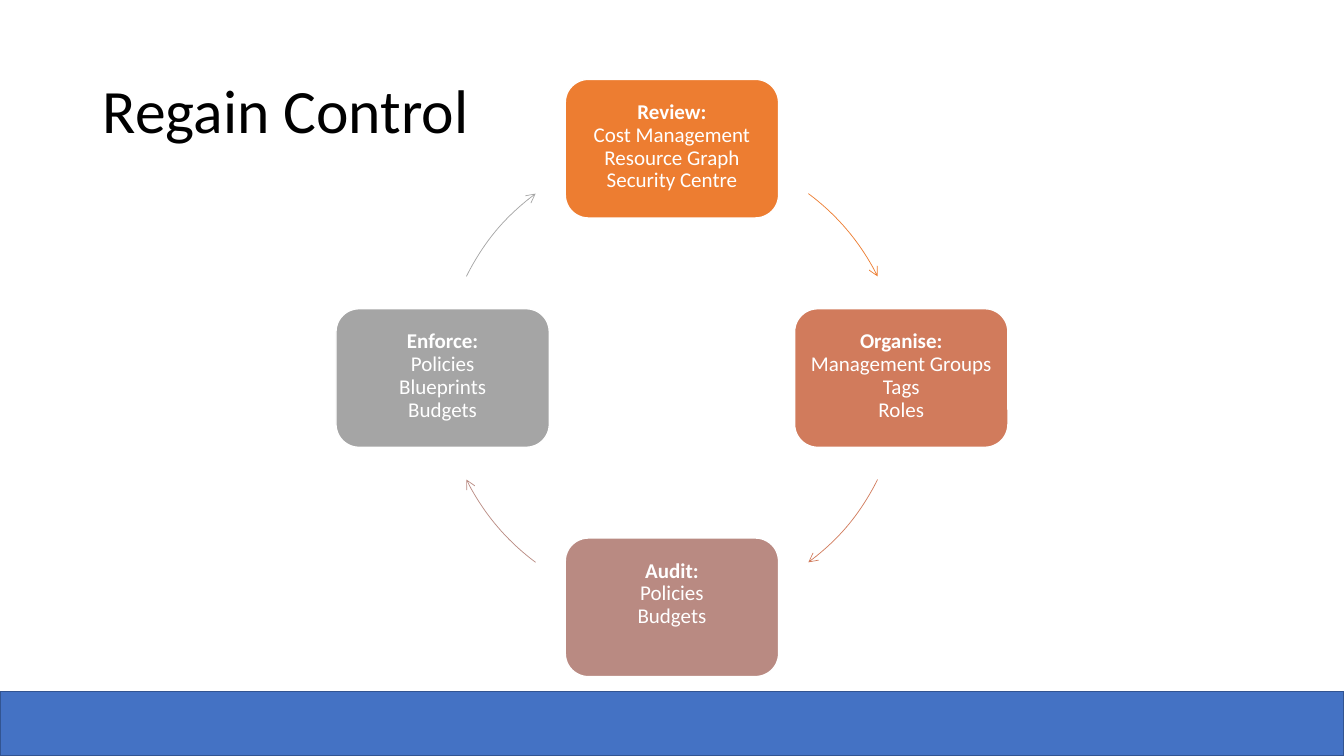
"""Build the Regain Control slide: a four-step governance cycle."""
from math import cos, radians, sin

from lxml.etree import SubElement
from pptx import Presentation
from pptx.dml.color import RGBColor
from pptx.enum.shapes import MSO_SHAPE as Shape
from pptx.enum.text import MSO_ANCHOR as Anchor, PP_ALIGN as Align
from pptx.oxml.ns import qn
from pptx.util import Pt

BLACK = RGBColor(0x00, 0x00, 0x00)
WHITE = RGBColor(0xFF, 0xFF, 0xFF)
BLUE = RGBColor(0x44, 0x72, 0xC4)
NAVY = RGBColor(0x32, 0x54, 0x91)
ORANGE = RGBColor(0xED, 0x7D, 0x31)
TERRACOTTA = RGBColor(0xD1, 0x7B, 0x5C)
ROSE = RGBColor(0xB9, 0x8A, 0x82)
GRAY = RGBColor(0xA5, 0xA5, 0xA5)

TITLE = "Regain Control"
STEPS = [
    ("Review:", ["Cost Management", "Resource Graph", "Security Centre"], ORANGE),
    ("Organise:", ["Management Groups", "Tags", "Roles"], TERRACOTTA),
    ("Audit:", ["Policies", "Budgets"], ROSE),
    ("Enforce:", ["Policies", "Blueprints", "Budgets"], GRAY),
]

SLIDE_W, SLIDE_H = 960, 540
BAND_H = 46
CENTER_X, CENTER_Y, RADIUS = 480, 270, 163.8
BOX_W, BOX_H = 152.4, 99
ARC_STARTS = [306.5, 26.3, 126.5, 206.3]
ARC_SWEEP = 27.2
ANGLE_UNIT = 0.6

TITLE_FRAME = dict(left=66.24, top=28.8, width=740.88, height=104.4)
TITLE_FONT = dict(name="Calibri", size=Pt(44))
STEP_FONT = dict(name="Calibri", size=Pt(15))
STEP_TEXT = dict(word_wrap=True, vertical_anchor=Anchor.TOP, margin_left=Pt(4.5),
                 margin_right=Pt(4.5), margin_top=Pt(11), margin_bottom=Pt(4.5))


def set_all(target, values):
    for name, value in values.items():
        setattr(target, name, value)


def add_shape(s, kind, x, y, w, h, fill, line, line_w):
    sp = s.shapes.add_shape(kind, Pt(x), Pt(y), Pt(w), Pt(h))
    sp.shadow.inherit = False
    if fill is None:
        sp.fill.background()
    else:
        sp.fill.solid()
        sp.fill.fore_color.rgb = fill
    sp.line.color.rgb = line
    sp.line.width = Pt(line_w)
    return sp


def add_line(p, text, bold):
    r = p.add_run()
    r.text = text
    set_all(r.font, dict(STEP_FONT, bold=bold))
    r.font.color.rgb = WHITE


def add_step(s, index, heading, items, color):
    angle = radians(90 * index - 90)
    x = CENTER_X + RADIUS * cos(angle) - BOX_W / 2
    y = CENTER_Y + RADIUS * sin(angle) - BOX_H / 2
    sp = add_shape(s, Shape.ROUNDED_RECTANGLE, x, y, BOX_W, BOX_H, color, WHITE, 1)
    tf = sp.text_frame
    set_all(tf, STEP_TEXT)
    p = tf.paragraphs[0]
    set_all(p, dict(alignment=Align.CENTER, line_spacing=0.9))
    add_line(p, heading, True)
    for item in items:
        p.add_line_break()
        add_line(p, item, False)


def add_arc(s, start, color):
    arc = add_shape(s, Shape.ARC, CENTER_X - RADIUS, CENTER_Y - RADIUS,
                    2 * RADIUS, 2 * RADIUS, None, color, 0.5)
    arc.adjustments[0] = start * ANGLE_UNIT
    arc.adjustments[1] = (start + ARC_SWEEP) % 360 * ANGLE_UNIT
    SubElement(arc.line._get_or_add_ln(), qn("a:tailEnd"), type="arrow")


def main():
    prs = Presentation()
    prs.slide_width, prs.slide_height = Pt(SLIDE_W), Pt(SLIDE_H)
    s = prs.slides.add_slide(prs.slide_layouts[5])

    title = s.shapes.title
    set_all(title, {name: Pt(value) for name, value in TITLE_FRAME.items()})
    tf = title.text_frame
    tf.text = TITLE
    set_all(tf, dict(word_wrap=True, vertical_anchor=Anchor.MIDDLE))
    p = tf.paragraphs[0]
    set_all(p, dict(alignment=Align.LEFT, line_spacing=0.9))
    set_all(p.runs[0].font, TITLE_FONT)
    p.runs[0].font.color.rgb = BLACK

    add_shape(s, Shape.RECTANGLE, 0, SLIDE_H - BAND_H, SLIDE_W, BAND_H, BLUE, NAVY, 1)
    for index, (heading, items, color) in enumerate(STEPS):
        add_step(s, index, heading, items, color)
        add_arc(s, ARC_STARTS[index], color)

    prs.save("out.pptx")


if __name__ == "__main__":
    main()
